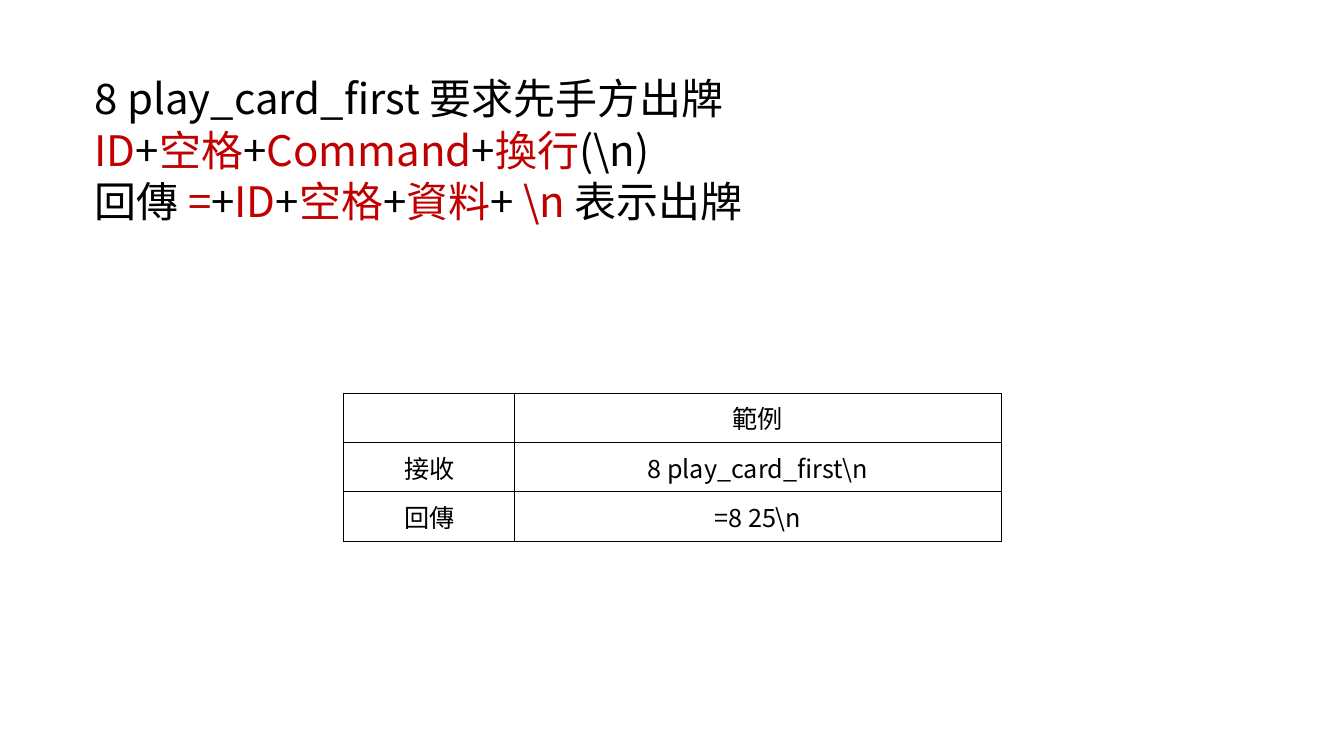
from lxml import etree
from pptx import Presentation
from pptx import util as u
from pptx.dml.color import RGBColor
from pptx.enum import text
from pptx.oxml import ns

BLACK, RED = "000000", "C00000"


def color(value):
    return RGBColor.from_string(value)


class Deck:
    font = "Noto Sans CJK SC"

    def __init__(self, width, height):
        self.presentation = Presentation()
        self.presentation.slide_width = u.Inches(width)
        self.presentation.slide_height = u.Inches(height)
        self.slide = self.presentation.slides.add_slide(self.presentation.slide_layouts[6])

    def place(self, left, top, width, height):
        across, down = self.presentation.slide_width, self.presentation.slide_height
        return [u.Emu(round(share * side)) for share, side in
                zip((left, top, width, height), (across, down, across, down))]

    def add_runs(self, paragraph, runs, size, **formats):
        for name, value in formats.items():
            setattr(paragraph, name, value)
        for words, shade in runs:
            run = paragraph.add_run()
            run.text = words
            for name, value in {"name": self.font, "size": u.Pt(size)}.items():
                setattr(run.font, name, value)
            run.font.color.rgb = color(shade)
            etree.SubElement(run.font._element, ns.qn("a:ea"), typeface=self.font)

    def text_box(self, box, lines, size, **formats):
        frame = self.slide.shapes.add_textbox(*self.place(*box)).text_frame
        frame.word_wrap = True
        for index, runs in enumerate(lines):
            paragraph = frame.add_paragraph() if index else frame.paragraphs[0]
            self.add_runs(paragraph, runs, size, **formats)

    def border(self, cell, shade, weight):
        properties = cell._tc.get_or_add_tcPr()
        for index, side in enumerate(("lnL", "lnR", "lnT", "lnB")):
            line = etree.Element(ns.qn(f"a:{side}"), w=str(int(u.Pt(weight))))
            fill = etree.SubElement(line, ns.qn("a:solidFill"))
            etree.SubElement(fill, ns.qn("a:srgbClr"), val=shade)
            properties.insert(index, line)

    def table(self, box, rows, shares, size):
        left, top, width, height = self.place(*box)
        table = self.slide.shapes.add_table(
            len(rows), len(shares), left, top, width, height).table
        for column, share in zip(table.columns, shares):
            column.width = u.Emu(round(width * share))
        for row_index, row in enumerate(rows):
            for column_index, words in enumerate(row):
                cell = table.cell(row_index, column_index)
                cell.fill.background()
                cell.vertical_anchor = text.MSO_ANCHOR.MIDDLE
                self.border(cell, BLACK, 1)
                if words:
                    self.add_runs(cell.text_frame.paragraphs[0], [(words, BLACK)], size,
                                  alignment=text.PP_ALIGN.CENTER)


deck = Deck(13.33, 7.5)
plus = ("+", BLACK)
identifier, space = ("ID", RED), ("空格", RED)
command_lines = [
    [("8 play_card_first 要求先手方出牌", BLACK)],
    [identifier, plus, space, plus, ("Command", RED), plus, ("換行", RED), ("(\\n)", BLACK)],
    [("回傳 ", BLACK), ("=", RED), plus, identifier, plus, space, plus,
     ("資料", RED), ("+ ", BLACK), ("\\n ", RED), ("表示出牌", BLACK)],
]
example_rows = [
    ["", "範例"],
    ["接收", "8 play_card_first\\n"],
    ["回傳", "=8 25\\n"],
]
table_width, table_height = 6.52 / 13.33, 1.47 / 7.5
deck.table((3.41 / 13.33, 0.52, table_width, table_height), example_rows, (0.26, 0.74), 18)
deck.text_box((0.84 / 13.33, 0.77 / 7.5, 0.9, 0.6), command_lines, 30,
              line_spacing=0.8, space_before=u.Pt(8))
deck.presentation.save("out.pptx")
